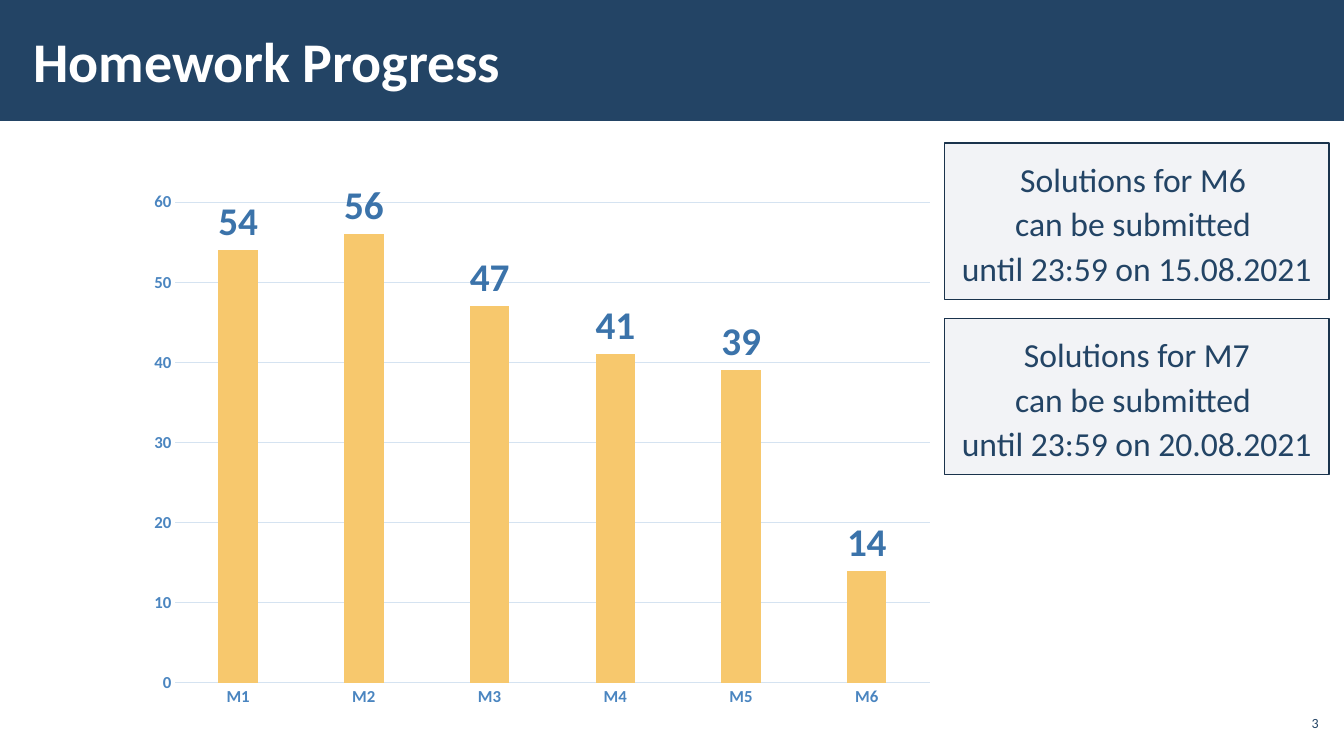
"""Builds the homework progress slide with its chart and deadlines."""
import pptx
import pptx.chart.data
import pptx.dml.color
import pptx.enum.chart
import pptx.enum.shapes
import pptx.enum.text
import pptx.oxml
import pptx.oxml.ns
import pptx.util

PX = 9144
FONT = "Calibri"
RGBColor = pptx.dml.color.RGBColor
WHITE = RGBColor(0xFF, 0xFF, 0xFF)
NAVY = RGBColor(0x23, 0x44, 0x65)
DARK_NAVY = RGBColor(0x1A, 0x33, 0x4C)
GREY = RGBColor(0xAD, 0xB4, 0xC3)
GOLD = RGBColor(0xF7, 0xC8, 0x6D)
AXIS_BLUE = RGBColor(0x4A, 0x85, 0xC0)
LABEL_BLUE = RGBColor(0x3B, 0x73, 0xAA)
GRID_BLUE = RGBColor(0xD5, 0xE3, 0xF1)
ALIGN = pptx.enum.text.PP_ALIGN
AUTO_SIZE = pptx.enum.text.MSO_AUTO_SIZE


class SlideBuilder:
    def __init__(self, slide, font):
        self.slide = slide
        self.font = font

    def lengths(self, *px):
        return [pptx.util.Emu(value * PX) for value in px]

    def style(self, font, size, color, bold=False):
        font.name = self.font
        font.size = pptx.util.Pt(size)
        font.color.rgb = color
        font.bold = bold

    def add_lines(self, frame, lines, size, color, align, margins, bold=False, spacing=None):
        (frame.margin_left, frame.margin_top,
         frame.margin_right, frame.margin_bottom) = self.lengths(*margins)
        frame.vertical_anchor = pptx.enum.text.MSO_ANCHOR.MIDDLE
        for index, line in enumerate(lines):
            paragraph = frame.add_paragraph() if index else frame.paragraphs[0]
            paragraph.alignment = align
            paragraph.line_spacing = spacing
            run = paragraph.add_run()
            run.text = line
            self.style(run.font, size, color, bold)

    def rectangle(self, box, fill, line=None, opacity=None):
        rectangle = self.slide.shapes.add_shape(
            pptx.enum.shapes.MSO_SHAPE.RECTANGLE, *self.lengths(*box))
        rectangle.shadow.inherit = False
        rectangle.fill.solid()
        rectangle.fill.fore_color.rgb = fill
        if opacity is not None:
            color = rectangle._element.spPr.find(".//" + pptx.oxml.ns.qn("a:srgbClr"))
            alpha = pptx.oxml.ns.qn("a:alpha")
            color.append(color.makeelement(alpha, {"val": str(opacity * 1000)}))
        if line is None:
            rectangle.line.fill.background()
        else:
            rectangle.line.color.rgb = line
            rectangle.line.width = pptx.util.Pt(1)
        return rectangle

    def header(self, box, fill):
        band = self.rectangle(box, fill)
        self.slide.shapes._spTree.insert(2, band._element)

    def title(self, text, box):
        title = self.slide.shapes.title
        title.left, title.top, title.width, title.height = self.lengths(*box)
        title.text_frame.auto_size = AUTO_SIZE.NONE
        self.add_lines(title.text_frame, [text], 40, WHITE, ALIGN.LEFT, (12, 4, 12, 4), bold=True)

    def page_number(self, text, box):
        number = self.slide.shapes.add_textbox(*self.lengths(*box))
        number.text_frame.word_wrap = True
        self.add_lines(number.text_frame, [text], 10, NAVY, ALIGN.RIGHT, (4, 4, 4, 4))

    def deadline(self, lines, box):
        notice = self.rectangle(box, GREY, DARK_NAVY, opacity=15)
        frame = notice.text_frame
        frame.word_wrap = False
        frame.auto_size = AUTO_SIZE.SHAPE_TO_FIT_TEXT
        self.add_lines(frame, lines, 24, NAVY, ALIGN.CENTER, (16, 12, 16, 12), spacing=1.1)

    def column_chart(self, counts, box):
        data = pptx.chart.data.CategoryChartData()
        data.categories = list(counts)
        data.add_series("Series 1", list(counts.values()))
        chart = self.slide.shapes.add_chart(
            pptx.enum.chart.XL_CHART_TYPE.COLUMN_CLUSTERED, *self.lengths(*box), data).chart
        self.style(chart.font, 10, NAVY)
        chart.has_legend = False
        chart.has_title = False

        for axis in (chart.category_axis, chart.value_axis):
            axis.major_tick_mark = pptx.enum.chart.XL_TICK_MARK.NONE
            axis.minor_tick_mark = pptx.enum.chart.XL_TICK_MARK.NONE
            self.style(axis.tick_labels.font, 12, AXIS_BLUE, bold=True)
        values = chart.value_axis
        values.minimum_scale = 0
        values.maximum_scale = 60
        values.major_unit = 10
        values.has_major_gridlines = True
        values.format.line.fill.background()
        for line in (chart.category_axis.format.line, values.major_gridlines.format.line):
            line.color.rgb = GRID_BLUE
            line.width = pptx.util.Pt(0.75)

        plot = chart.plots[0]
        plot.gap_width = 219
        plot.overlap = -27
        plot.vary_by_categories = False
        submissions = plot.series[0]
        submissions.invert_if_negative = False
        submissions.format.fill.solid()
        submissions.format.fill.fore_color.rgb = GOLD
        labels = submissions.data_labels
        labels.show_value = True
        labels.position = pptx.enum.chart.XL_LABEL_POSITION.OUTSIDE_END
        self.style(labels.font, 28, LABEL_BLUE, bold=True)


def main():
    presentation = pptx.Presentation()
    presentation.slide_width = pptx.util.Emu(1333 * PX)
    presentation.slide_height = pptx.util.Emu(750 * PX)
    slide = presentation.slides.add_slide(presentation.slide_layouts[5])
    builder = SlideBuilder(slide, FONT)

    builder.header((0, 0, 1333, 120), NAVY)
    builder.title("Homework Progress", (21, 11, 1040, 97))
    builder.page_number("3", (1265, 700, 47, 34))
    submitted = {"M1": 54, "M2": 56, "M3": 47, "M4": 41, "M5": 39, "M6": 14}
    builder.column_chart(submitted, (137, 180, 801, 532))

    deadlines = [("Solutions for M6 ", "15.08.2021"), ("Solutions for M7", "20.08.2021")]
    for row, (heading, date) in enumerate(deadlines):
        lines = [heading, "can be submitted ", f"until 23:59 on {date}"]
        builder.deadline(lines, (937, 142 + 174 * row, 381, 155))

    presentation.save("out.pptx")


if __name__ == "__main__":
    main()
